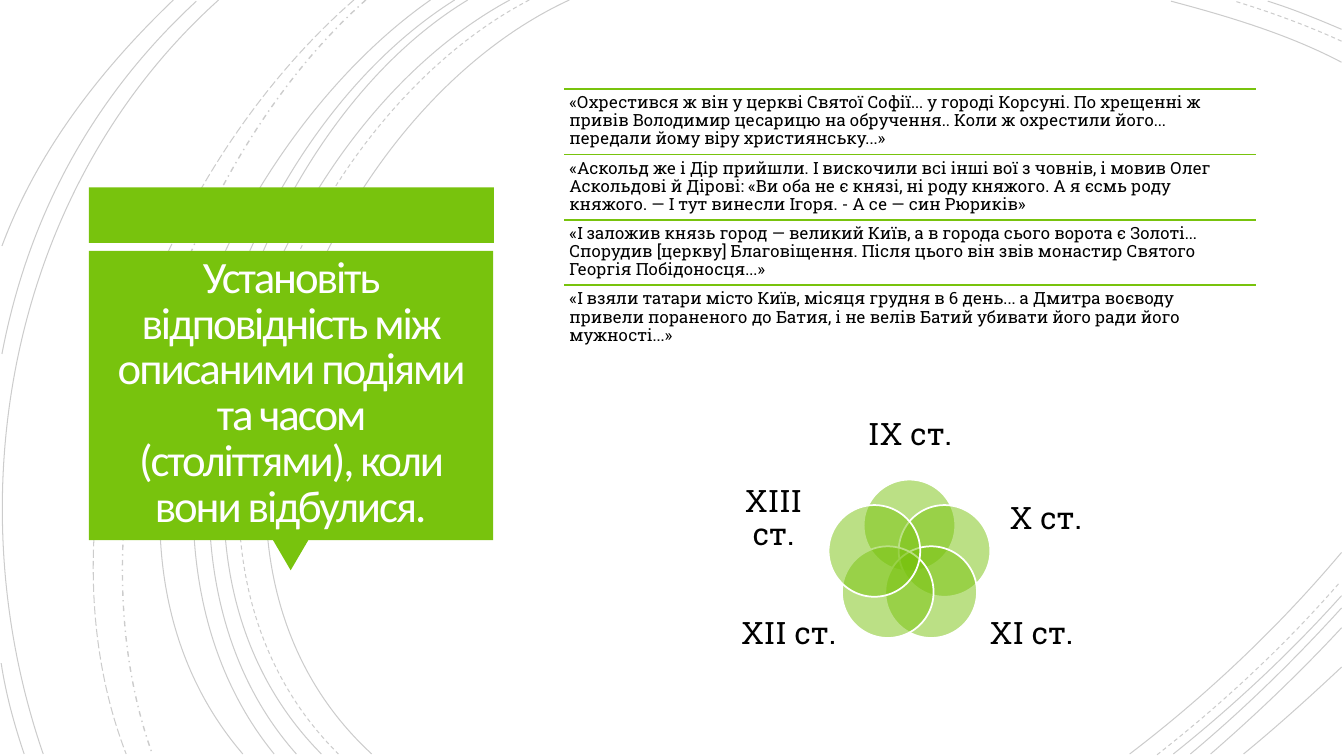
"""Build a slide that matches chronicle quotes with centuries."""
from math import cos, radians, sin

from lxml.etree import SubElement
from pptx import Presentation
from pptx.dml.color import RGBColor
from pptx.enum.dml import MSO_LINE as Dash
from pptx.enum.shapes import MSO_CONNECTOR as Link, MSO_SHAPE as Kind
from pptx.enum.text import MSO_ANCHOR as Anchor, PP_ALIGN as Align
from pptx.oxml.ns import qn
from pptx.util import Cm, Pt

GREEN = RGBColor(0x78, 0xC3, 0x0D)
WHITE = RGBColor(0xFF, 0xFF, 0xFF)
CREAM = RGBColor(0xFF, 0xFE, 0xFF)
BLACK = RGBColor(0x00, 0x00, 0x00)

ARCS = [
    (14.35, 0, 8, 2.92, 3.63, 13.72, 9.37, 19),
    (33.81, 1.57, 32.46, 0.86, 30.94, 0.41, 29.51, 0.03),
    (28.47, 19, 30.4, 17.53, 32.23, 15.8, 33.81, 13.92),
    (12.85, 0, 6.86, 3.23, 2.79, 13.64, 8.1, 19),
    (33.81, 0.74, 33.2, 0.48, 32.59, 0.23, 31.95, 0.03),
    (29.57, 19, 31.06, 17.81, 32.51, 16.46, 33.81, 15.01),
    (11.79, 0, 6.2, 3.38, 2.79, 13.74, 7.47, 19),
    (30, 19, 31.34, 17.88, 32.61, 16.64, 33.81, 15.32),
    (11.46, 0, 5.87, 3.51, 2.46, 13.54, 6.91, 19),
    (30.51, 19, 31.65, 18.01, 32.77, 16.94, 33.81, 15.82),
    (10.85, 0, 5.51, 3.73, 1.35, 13.44, 6.12, 19),
    (31.34, 19, 32.18, 18.31, 32.99, 17.58, 33.81, 16.81),
    (5.51, 0, 0.28, 4.7, -1.17, 12.45, 1.09, 19),
    (4.95, 0.03, 2.34, 2.44, 0.71, 5.44, 0.05, 8.92),
    (0.03, 16.71, 0.15, 17.5, 0.36, 18.26, 0.61, 19),
    (4.37, 0, 2.54, 1.75, 0.94, 3.81, 0.05, 6.2),
]
DASHED = [
    (13.34, 0, 7.24, 3.18, 3.12, 13.64, 8.53, 19),
    (33.81, 1.04, 32.94, 0.64, 32, 0.3, 31.12, 0.03),
    (29.16, 19.02, 30.81, 17.73, 32.39, 16.26, 33.78, 14.66),
]
DOTTED = (9.22, 0, 4.47, 4.22, 1.65, 12.93, 3.84, 19)
LONG = (8.92, 0, 3.99, 4.29, 0.74, 12.67, 3.18, 19)

TITLE = ("Установіть відповідність між описаними подіями та часом "
         "(століттями), коли вони відбулися.")
QUOTES = [
    "«Охрестився ж він у церкві Святої Софії... у городі Корсуні. По "
    "хрещенні ж привів Володимир цесарицю на обручення.. Коли ж охрестили "
    "його... передали йому віру християнську...»",
    "«Аскольд же і Дір прийшли. І вискочили всі інші вої з човнів, і мовив "
    "Олег Аскольдові й Дірові: «Ви оба не є князі, ні роду княжого. А я єсмь "
    "роду княжого. — І тут винесли Ігоря. - А се — син Рюриків»",
    "«І заложив князь город — великий Київ, а в города сього ворота є "
    "Золоті... Спорудив [церкву] Благовіщення. Після цього він звів монастир "
    "Святого Георгія Побідоносця...»",
    "«І взяли татари місто Київ, місяця грудня в 6 день... а Дмитра воєводу "
    "привели пораненого до Батия, і не велів Батий убивати його ради його "
    "мужності...»",
]
DATES = [
    ("IX ст.", 21.59, 10.21, 2.69, 1.55),
    ("X ст.", 25.15, 12.24, 2.41, 1.68),
    ("XI ст.", 24.79, 15.14, 2.41, 1.68),
    ("XII ст.", 18.67, 15.14, 2.41, 1.68),
    ("XIII ст.", 18.29, 12.24, 2.41, 1.68),
]


class Deck:
    """Hold the style and the current slide."""
    face = "Roboto Slab"
    accent = GREEN

    def __init__(self):
        self.show = Presentation()
        self.show.slide_width, self.show.slide_height = Cm(33.87), Cm(19.05)
        self.slide = self.show.slides.add_slide(self.show.slide_layouts[6])
        self.shapes = self.slide.shapes

    def fade(self, fill, rate):
        tint = next(fill.iter(qn("a:srgbClr")))
        SubElement(tint, qn("a:alpha"), val=str(rate * 1000))

    def arc(self, nums, dash=None, width=0.75):
        first, *rest = [(Cm(x), Cm(y)) for x, y in zip(nums[::2], nums[1::2])]
        pen = self.shapes.build_freeform(*first)
        pen.add_line_segments(rest, close=False)
        curve = pen.convert_to_shape()
        track = next(curve.element.iter(qn("a:path")))
        bend = SubElement(track, qn("a:cubicBezTo"))
        for step in track.findall(qn("a:lnTo")):
            bend.append(step[0])
            track.remove(step)
        curve.shadow.inherit = False
        curve.fill.background()
        curve.line.width = Pt(width)
        curve.line.color.rgb = BLACK
        if dash:
            curve.line.dash_style = dash
        self.fade(next(curve.element.iter(qn("a:ln"))), 20)

    def block(self, kind, x, y, w, h, turn=0):
        shape = self.shapes.add_shape(kind, Cm(x), Cm(y), Cm(w), Cm(h))
        shape.shadow.inherit = False
        shape.fill.solid()
        shape.fill.fore_color.rgb = self.accent
        shape.line.fill.background()
        shape.rotation = turn
        return shape

    def petal(self, x, y, size):
        shape = self.block(Kind.OVAL, x, y, size, size)
        self.fade(shape.element.spPr.find(qn("a:solidFill")), 50)
        shape.line.color.rgb = WHITE
        shape.line.width = Pt(1.25)

    def rule(self, x, y, w):
        line = self.shapes.add_connector(
            Link.STRAIGHT, Cm(x), Cm(y), Cm(x + w), Cm(y))
        line.line.color.rgb = self.accent
        line.line.width = Pt(1.25)
        SubElement(line.element.spPr, qn("a:effectLst"))

    def text(self, words, x, y, w, h, size, pad=0.0, mid=True,
             face=None, color=BLACK, lead=0.9):
        box = self.shapes.add_textbox(Cm(x), Cm(y), Cm(w), Cm(h))
        frame = box.text_frame
        frame.word_wrap = True
        frame.margin_left = frame.margin_right = Cm(pad)
        frame.margin_top = frame.margin_bottom = Cm(pad)
        frame.vertical_anchor = Anchor.MIDDLE if mid else Anchor.TOP
        frame.text = words
        para = frame.paragraphs[0]
        para.alignment = Align.CENTER if mid else Align.LEFT
        para.line_spacing = lead
        font = para.runs[0].font
        font.name, font.size = face or self.face, Pt(size)
        font.color.rgb = color
        return para.runs[0]


def main():
    deck = Deck()
    for nums in ARCS:
        deck.arc(nums)
    for nums in DASHED:
        deck.arc(nums, Dash.DASH)
    deck.arc(DOTTED, Dash.DASH_DOT, 1)
    deck.arc(LONG, Dash.LONG_DASH)

    deck.block(Kind.RECTANGLE, 2.24, 4.72, 10.21, 1.4)
    deck.block(Kind.ISOSCELES_TRIANGLE, 6.88, 13.61, 0.89, 0.76, 180)
    deck.block(Kind.RECTANGLE, 2.24, 6.32, 10.19, 7.29)
    run = deck.text(TITLE, 2.46, 6.5, 9.73, 6.86, 32, 0.25,
                    face="Calibri", color=CREAM, lead=0.85)
    run.font._element.set("spc", "-150")

    left, top, wide, step = 14.22, 2.24, 17.42, 1.65
    for row, quote in enumerate(QUOTES):
        y = top + row * step
        deck.rule(left, y, wide)
        deck.text(quote, left, y, wide, step, 12, 0.13, mid=False)

    mid_x, mid_y, reach, size = 22.92, 14.17, 0.93, 2.31
    for num, (date, *place) in enumerate(DATES):
        angle = radians(360 / len(DATES) * num - 90)
        deck.petal(mid_x + reach * cos(angle) - size / 2,
                   mid_y + reach * sin(angle) - size / 2, size)
        deck.text(date, *place, 22)

    deck.show.save("out.pptx")


if __name__ == "__main__":
    main()
